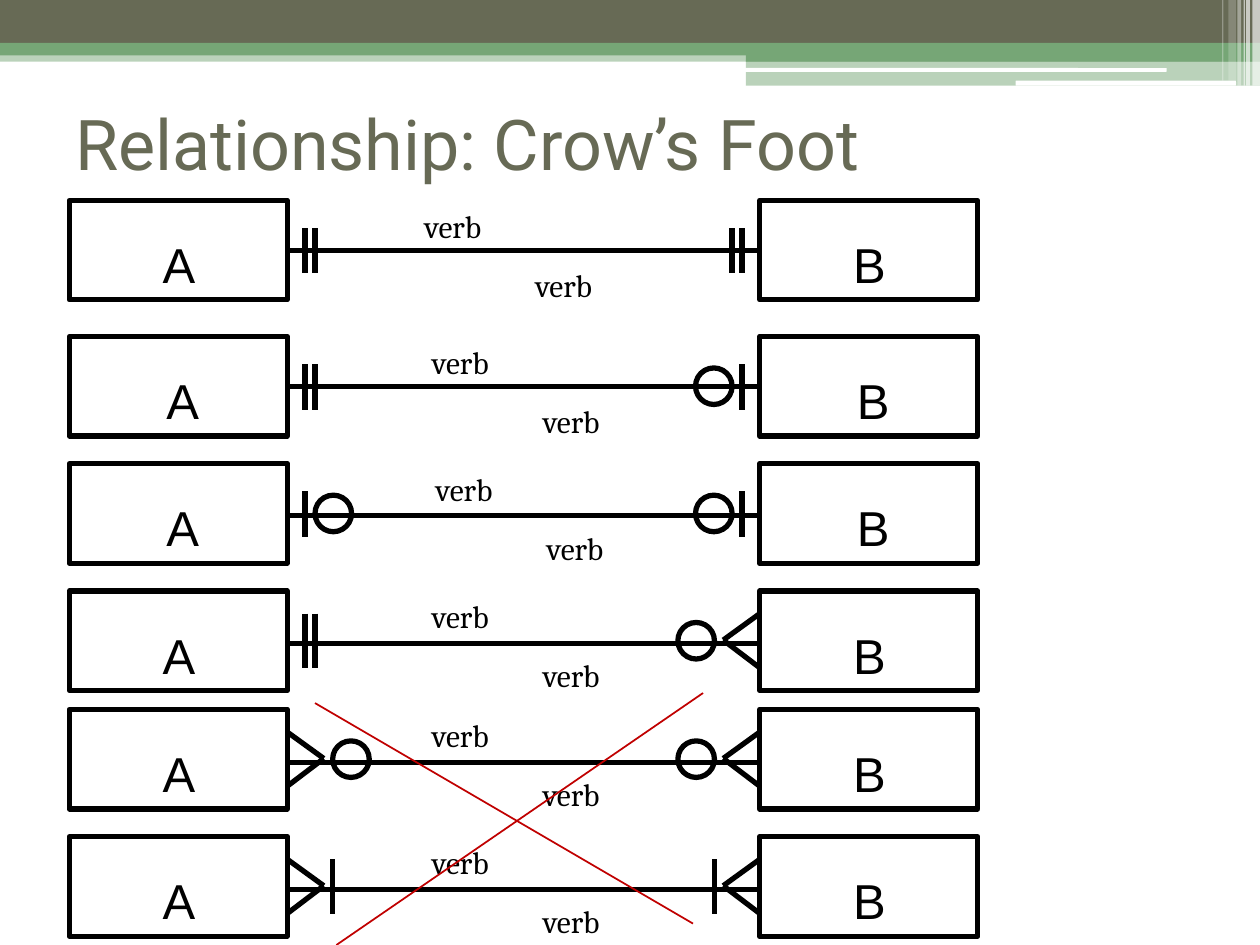
from lxml.etree import SubElement
from pptx import Presentation
from pptx.dml.color import RGBColor
from pptx.enum.shapes import MSO_CONNECTOR as CONNECTOR, MSO_SHAPE as SHAPE
from pptx.enum.text import MSO_ANCHOR as ANCHOR, PP_ALIGN as ALIGN
from pptx.oxml.ns import qn
from pptx.util import Pt

PX = 9144
COLORS = {
    "olive": "676A55",
    "green": "76A676",
    "white": "FFFFFF",
    "black": "000000",
    "red": "C00000",
}
ENTITY_W, ENTITY_H = 173, 79
LEFT_ENTITY, RIGHT_ENTITY = 55, 603
CIRCLE = 29

ONE_ONLY = [("tick", 14), ("tick", 22)]
ZERO_OR_ONE = [("tick", 14), ("circle", 22)]
ZERO_OR_MANY = [("crow", 0), ("circle", 36)]
ONE_OR_MANY = [("crow", 0), ("tick", 36)]

SHORT_TICK, TALL_TICK = (22, 58), (18, 61)

RELATIONSHIPS = [
    (159, 40, 65, 327, SHORT_TICK, ONE_ONLY, ONE_ONLY),
    (267, 40, 68, 333, SHORT_TICK, ONE_ONLY, ZERO_OR_ONE),
    (368, 41, 68, 336, SHORT_TICK, ZERO_OR_ONE, ZERO_OR_ONE),
    (469, 42, 65, 333, TALL_TICK, ONE_ONLY, ZERO_OR_MANY),
    (563, 42, 65, 333, TALL_TICK, ZERO_OR_MANY, ZERO_OR_MANY),
    (664, 42, 65, 333, TALL_TICK, ONE_OR_MANY, ONE_OR_MANY),
]

BANDS = [
    (SHAPE.RECTANGLE, 0, 40, 1000, 9, "green", 50),
    (SHAPE.RECTANGLE, 0, 0, 1000, 34, "olive", 100),
    (SHAPE.RECTANGLE, 0, 34, 1000, 10, "green", 100),
    (SHAPE.RECTANGLE, 592, 39, 408, 10, "green", 100),
    (SHAPE.RECTANGLE, 592, 48, 408, 20, "green", 50),
    (SHAPE.ROUNDED_RECTANGLE, 591, 54, 335, 3, "white", 100),
    (SHAPE.ROUNDED_RECTANGLE, 806, 64, 175, 4, "white", 100),
    (SHAPE.RECTANGLE, 994, 0, 6, 68, "white", 65),
    (SHAPE.RECTANGLE, 989, 0, 3, 68, "white", 65),
    (SHAPE.RECTANGLE, 987, 0, 1, 68, "white", 60),
    (SHAPE.RECTANGLE, 982, 0, 3, 68, "white", 40),
    (SHAPE.RECTANGLE, 975, 0, 6, 64, "white", 20),
    (SHAPE.RECTANGLE, 970, 0, 1, 64, "white", 30),
]


def rgb(name):
    return RGBColor.from_string(COLORS[name])


def add_band(slide, kind, left, top, width, height, color, opacity):
    band = slide.shapes.add_shape(kind, left * PX, top * PX, width * PX, height * PX)
    band.shadow.inherit = False
    band.line.fill.background()
    band.fill.solid()
    band.fill.fore_color.rgb = rgb(color)
    if opacity < 100:
        hue = band.fill._xPr.find(qn("a:solidFill"))[0]
        SubElement(hue, qn("a:alpha")).set("val", str(opacity * 1000))


def add_outline(slide, kind, left, top, width, height):
    outline = slide.shapes.add_shape(kind, left * PX, top * PX, width * PX, height * PX)
    outline.shadow.inherit = False
    outline.fill.background()
    outline.line.color.rgb = rgb("black")
    outline.line.width = Pt(3)


def add_stroke(slide, x1, y1, x2, y2, color="black", weight=3):
    stroke = slide.shapes.add_connector(
        CONNECTOR.STRAIGHT, x1 * PX, y1 * PX, x2 * PX, y2 * PX)
    stroke.line.color.rgb = rgb(color)
    stroke.line.width = Pt(weight)
    SubElement(stroke._element.spPr, qn("a:effectLst"))


def add_text(slide, box, text, font, size, color="black", wrap=False):
    left, top, width, height = box
    holder = slide.shapes.add_textbox(left * PX, top * PX, width * PX, height * PX)
    frame = holder.text_frame
    frame.word_wrap = wrap
    frame.vertical_anchor = ANCHOR.TOP
    frame.text = text
    run = frame.paragraphs[0].runs[0]
    run.font.name = font
    run.font.size = Pt(size)
    run.font.color.rgb = rgb(color)
    return frame


def add_entity(slide, left, top, label, label_dx):
    add_outline(slide, SHAPE.RECTANGLE, left, top, ENTITY_W, ENTITY_H)
    frame = add_text(slide, (left + label_dx, top + 18, 40, 49), label, "Arial", 28)
    frame.margin_left, frame.margin_top = 4 * PX, 9 * PX
    frame.margin_right = frame.margin_bottom = 0
    frame.paragraphs[0].alignment = ALIGN.CENTER


def add_cardinality(slide, edge, direction, top, tick, marks):
    tick_top, tick_bottom = tick
    for mark, offset in marks:
        x = edge + direction * offset
        if mark == "tick":
            add_stroke(slide, x, top + tick_top, x, top + tick_bottom)
        elif mark == "circle":
            left = min(x, x + direction * CIRCLE)
            add_outline(slide, SHAPE.OVAL, left, top + 25, CIRCLE, CIRCLE)
        else:
            for toe in tick:
                add_stroke(slide, x + direction * 29, top + 39, x, top + toe)


def add_relationship(slide, top, axis, label_dx, verb_left, tick, a_marks, b_marks):
    a_edge = LEFT_ENTITY + ENTITY_W
    add_stroke(slide, a_edge, top + axis, RIGHT_ENTITY, top + axis)
    add_entity(slide, LEFT_ENTITY, top, "A", label_dx)
    add_entity(slide, RIGHT_ENTITY, top, "B", label_dx)
    add_cardinality(slide, a_edge, 1, top, tick, a_marks)
    add_cardinality(slide, RIGHT_ENTITY, -1, top, tick, b_marks)
    for dx, dy in ((0, 0), (88, 47)):
        add_text(slide, (verb_left + dx, top + dy, 66, 35), "verb", "Cambria", 18)


def add_cross(slide):
    add_stroke(slide, 250, 558, 550, 733, "red", 1)
    add_stroke(slide, 558, 550, 267, 750, "red", 1)


def main():
    deck = Presentation()
    deck.slide_width, deck.slide_height = 1000 * PX, 750 * PX
    slide = deck.slides.add_slide(deck.slide_layouts[6])
    for band in BANDS:
        add_band(slide, *band)
    add_text(slide, (50, 75, 900, 117), "Relationship: Crow’s Foot",
             "Roboto", 40, "olive", True)
    for relationship in RELATIONSHIPS:
        add_relationship(slide, *relationship)
    add_cross(slide)
    deck.save("out.pptx")


if __name__ == "__main__":
    main()
